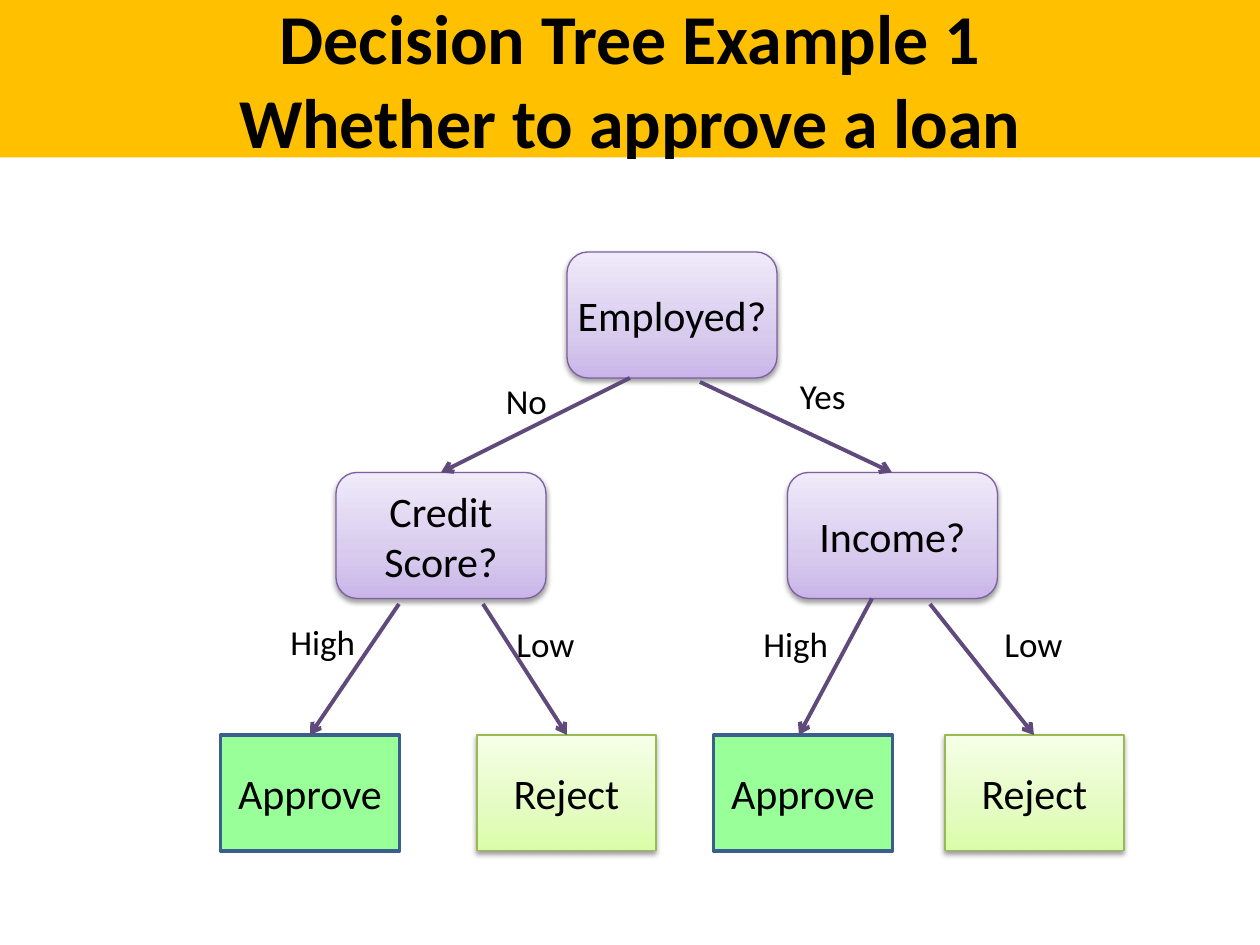
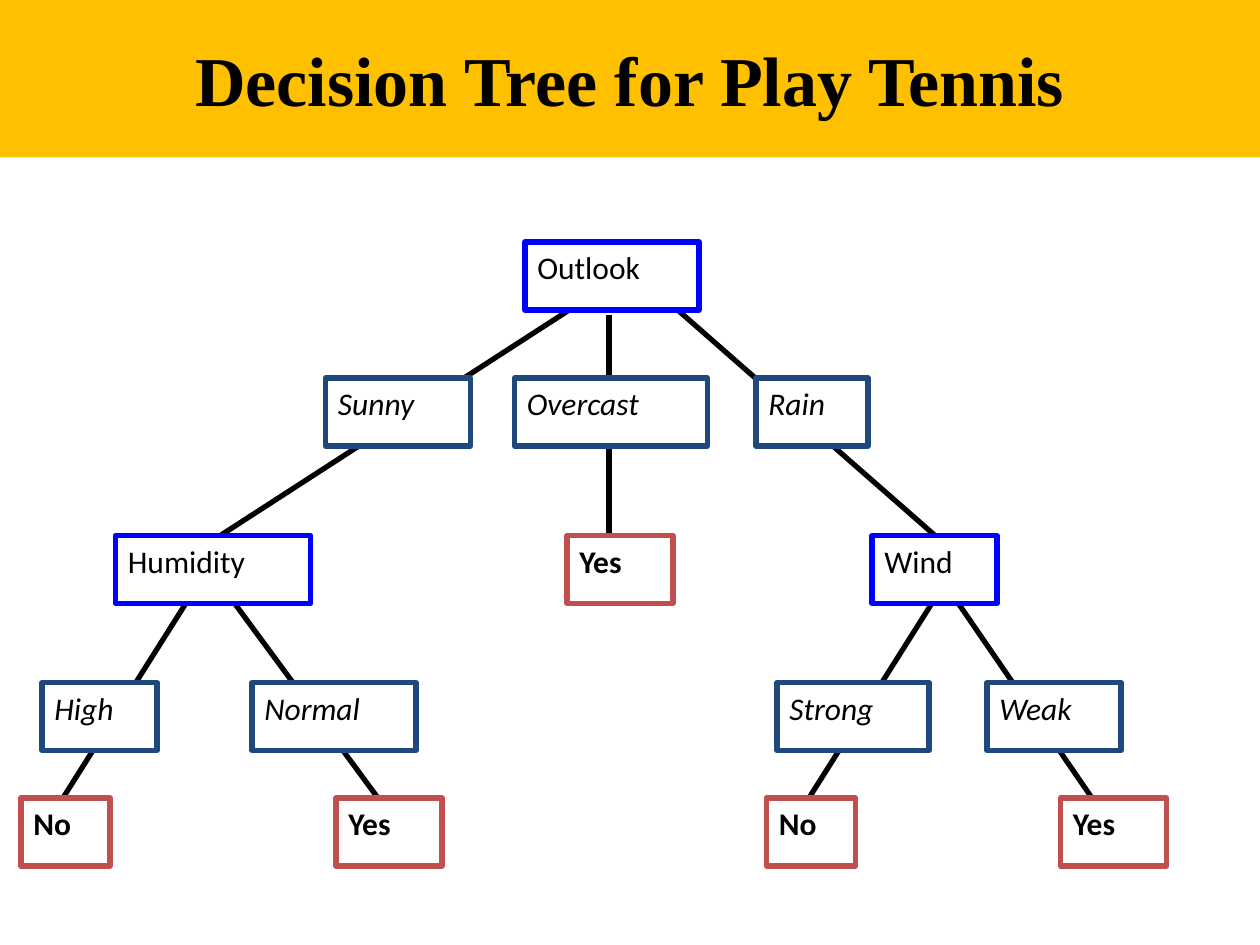
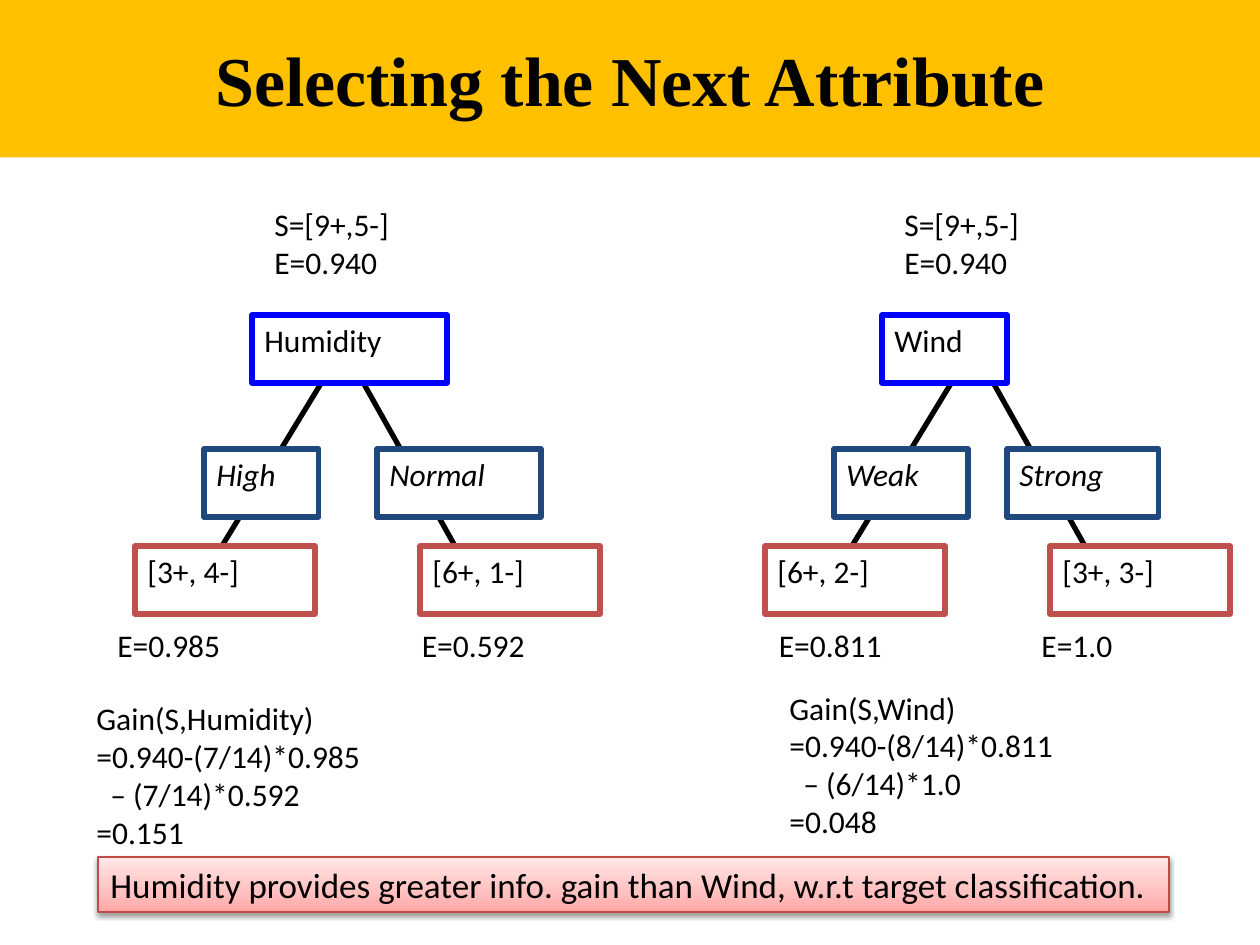
from copy import deepcopy
from lxml.etree import SubElement
from pptx import Presentation
from pptx.dml.color import RGBColor
from pptx.enum.shapes import MSO_CONNECTOR, MSO_SHAPE
from pptx.enum.text import MSO_ANCHOR, MSO_AUTO_SIZE, PP_ALIGN
from pptx.oxml.ns import qn
from pptx.util import Emu, Pt

# Shared look
PX = 914400 // 126
WIDE, HIGH, BAND = 1260, 945, 157.5
SANS, SERIF = "Calibri", "Times New Roman"
BLACK = RGBColor(0, 0, 0)
WHITE = RGBColor(255, 255, 255)
GOLD = RGBColor(0xFF, 0xC0, 0x00)
BLUE = RGBColor(0x00, 0x00, 0xFF)
NAVY = RGBColor(0x1F, 0x49, 0x7D)
RED = RGBColor(0xC0, 0x50, 0x4D)
PLUM = RGBColor(0x60, 0x4A, 0x7B)
MINT = RGBColor(0x99, 0xFF, 0x99)
STEEL = RGBColor(0x3A, 0x5F, 0x8C)
VIOLET = RGBColor(0x7D, 0x60, 0xA0)
OLIVE = RGBColor(0x98, 0xB9, 0x55)
ROSE = RGBColor(0xBF, 0x4C, 0x48)
# Gradient colours from bottom to top, at these stops
STOPS = (0, 0.35, 1)
LILAC = [RGBColor(0xC9, 0xB5, 0xE8), RGBColor(0xD8, 0xCB, 0xEE), RGBColor(0xF0, 0xEA, 0xF9)]
LIME = [RGBColor(0xDA, 0xFD, 0xA7), RGBColor(0xE4, 0xFC, 0xC2), RGBColor(0xF5, 0xFF, 0xE7)]
PINK = [RGBColor(0xFF, 0xA6, 0xA5), RGBColor(0xFF, 0xC0, 0xBF), RGBColor(0xFF, 0xE7, 0xE7)]

# Slide 1: loan tree
LOAN = "Decision Tree Example 1\vWhether to approve a loan"
TESTS = [("Employed?", 567, 252), ("Credit Score?", 336, 472.5), ("Income?", 787.5, 472.5)]
LEAVES = [("Approve", 220.5), ("Approve", 713.5), ("Reject", 477), ("Reject", 945)]
ARROWS = [
    (630, 378, 441, 472.5), (700, 382, 892, 472.5), (930, 604, 1034, 735),
    (872, 598.5, 799, 735), (483, 604, 567, 735), (399, 604, 310, 735),
]
LABELS = [
    ("No", 493.5, 373, 67), ("Yes", 787.5, 368, 72), ("High", 278, 614, 91),
    ("High", 751, 616, 91), ("Low", 504, 616, 84), ("Low", 992, 616, 84),
]

# Slides 2 and 3: node styles, and node widths by word
TALL = 68
ATTR = dict(edge=BLUE)
VALUE = dict(edge=NAVY, italic=True)
CLASS = dict(edge=RED, bold=True)
COUNT = dict(edge=RED)
WIDTHS = {
    "Outlook": 174, "Sunny": 145, "Overcast": 193, "Rain": 112, "Humidity": 195,
    "Wind": 125, "High": 115, "Normal": 164, "Strong": 152, "Weak": 134,
    "No": 89, "Yes": 106,
}

# Slide 2: rows of (top, [(word, left, style)])
TENNIS = "Decision Tree for Play Tennis"
ROWS = [
    (242, [("Outlook", 525, ATTR)]),
    (378, [("Sunny", 325.5, VALUE), ("Overcast", 514.5, VALUE), ("Rain", 756, VALUE)]),
    (535.5, [("Humidity", 115.5, ATTR), ("Yes", 567, CLASS), ("Wind", 872, ATTR)]),
    (682.5, [("High", 42, VALUE), ("Normal", 252, VALUE),
             ("Strong", 777, VALUE), ("Weak", 987, VALUE)]),
    (798, [("No", 21, CLASS), ("Yes", 336, CLASS), ("No", 766.5, CLASS), ("Yes", 1060.5, CLASS)]),
]
LINKS = [
    (577, 305, 220.5, 535.5), (672, 305, 935, 535.5), (189, 598.5, 63, 798),
    (231, 598.5, 378, 798), (955, 598.5, 1092, 798), (935, 598.5, 809, 798),
    (609, 315, 609, 535.5),
]

# Slide 3: two splits, side by side
NEXT = "Selecting the Next Attribute"
START = ["S=[9+,5-]", "E=0.940"]
FORKS = [(325, 377, 222, 546), (360, 377, 455, 546)]
SPLITS = [
    dict(attr="Humidity", sides=("High", "Normal"), counts=("[3+, 4-]", "[6+, 1-]"),
         ents=[("E=0.985", 105, 630, 48, 0.7), ("E=0.592", 409.5, 620, 63, None)],
         gain=["Gain(S,Humidity)", "=0.940-(7/14)*0.985", "– (7/14)*0.592", "=0.151"],
         spot=(84, 693)),
    dict(attr="Wind", sides=("Weak", "Strong"), counts=("[6+, 2-]", "[3+, 3-]"),
         ents=[("E=0.811", 766.5, 620, 63, None), ("E=1.0", 1029, 620, 63, None)],
         gain=["Gain(S,Wind)", "=0.940-(8/14)*0.811", "– (6/14)*1.0", "=0.048"],
         spot=(777, 682.5)),
]
MORAL = "Humidity provides greater info. gain than Wind, w.r.t target classification."


def emu(*nums):
    return [Emu(round(n * PX)) for n in nums]


def write(shape, text, size=18, font=SANS, bold=False, italic=False, mid=False,
          inset=None, wrap=True, space=None):
    """Fill a shape with one line or a list of lines."""
    frame = shape.text_frame
    frame.word_wrap = wrap
    frame.auto_size = MSO_AUTO_SIZE.NONE if wrap else MSO_AUTO_SIZE.SHAPE_TO_FIT_TEXT
    frame.vertical_anchor = MSO_ANCHOR.MIDDLE if mid else MSO_ANCHOR.TOP
    if inset is not None:
        frame.margin_left = frame.margin_right = inset
        frame.margin_top = frame.margin_bottom = inset
    lines = [text] if isinstance(text, str) else text
    for n, line in enumerate(lines):
        para = frame.add_paragraph() if n else frame.paragraphs[0]
        para.text = line
        para.alignment = PP_ALIGN.CENTER if mid else PP_ALIGN.LEFT
        if space:
            para.line_spacing = space
        if line.startswith("–"):  # a continued sum is indented
            para._p.get_or_add_pPr().set("marL", str(Pt(8)))
        for run in para.runs:
            face = run.font
            face.name, face.size, face.color.rgb = font, Pt(size), BLACK
            face.bold, face.italic = bold, italic


def note(slide, text, box, **form):
    write(slide.shapes.add_textbox(*emu(*box)), text, **form)


def block(slide, text, box, fill=WHITE, edge=None, thick=3, kind=MSO_SHAPE.RECTANGLE, **form):
    """A shape with text; a list of colours gives a gradient and a shadow."""
    shape = slide.shapes.add_shape(kind, *emu(*box))
    shape.shadow.inherit = False
    if isinstance(fill, list):
        shape.fill.gradient()
        shape.fill.gradient_angle = 90
        props = shape._element.spPr
        stops = props.find(".//" + qn("a:gsLst"))
        stops.append(deepcopy(stops[0]))
        for stop, place, tone in zip(shape.fill.gradient_stops, STOPS, fill):
            stop.position, stop.color.rgb = place, tone
        cast = SubElement(props.find(qn("a:effectLst")), qn("a:outerShdw"), blurRad=str(Pt(3.1)),
                          dist=str(Pt(1.6)), dir="5400000", rotWithShape="0")
        tone = SubElement(cast, qn("a:srgbClr"), val=str(BLACK))
        SubElement(tone, qn("a:alpha"), val="38000")
    else:
        shape.fill.solid()
        shape.fill.fore_color.rgb = fill
    if edge is None:
        shape.line.fill.background()
    else:
        shape.line.color.rgb, shape.line.width = edge, Pt(thick)
    write(shape, text, **form)


def link(slide, ends, tone=BLACK, thick=3, arrow=False):
    line = slide.shapes.add_connector(MSO_CONNECTOR.STRAIGHT, *emu(*ends))
    line.line.color.rgb, line.line.width = tone, Pt(thick)
    if arrow:
        SubElement(line.line._get_or_add_ln(), qn("a:tailEnd"), type="arrow")
    SubElement(line._element.spPr, qn("a:effectLst"))


def node(slide, word, left, top, style):
    block(slide, word, (left, top, WIDTHS.get(word, 180), TALL), **style)


def page(title, font=SERIF):
    slide = deck.slides.add_slide(deck.slide_layouts[6])
    block(slide, title, (0, 0, WIDE, BAND), fill=GOLD, size=40, font=font, bold=True, mid=True)
    return slide


deck = Presentation()
deck.slide_width, deck.slide_height = emu(WIDE, HIGH)

# Slide 1
slide = page(LOAN, font=SANS)
big = dict(size=24, mid=True, inset=0)
for word, left, top in TESTS:
    block(slide, word, (left, top, 210, 126), fill=LILAC, edge=VIOLET, thick=0.75,
          kind=MSO_SHAPE.ROUNDED_RECTANGLE, **big)
looks = {"Approve": dict(fill=MINT, edge=STEEL, thick=2),
         "Reject": dict(fill=LIME, edge=OLIVE, thick=0.75)}
for word, left in LEAVES:
    block(slide, word, (left, 735, 179, 116), **looks[word], **big)
for ends in ARROWS:
    link(slide, ends, tone=PLUM, thick=2.25, arrow=True)
for word, left, top, wide in LABELS:
    note(slide, word, (left, top, wide, 55), size=20, wrap=False)

# Slide 2
slide = page(TENNIS)
for ends in LINKS:
    link(slide, ends)
for top, row in ROWS:
    for word, left, style in row:
        node(slide, word, left, top, style)

# Slide 3
slide = page(NEXT)
for n, split in enumerate(SPLITS):
    off = n * WIDE / 2
    for x1, y1, x2, y2 in FORKS:
        link(slide, (x1 + off, y1, x2 + off, y2))
    node(slide, split["attr"], 252 + off, 315, ATTR)
    for word, left in zip(split["sides"], (204, 377)):
        node(slide, word, left + off, 449, VALUE)
    for word, left in zip(split["counts"], (135, 420)):
        node(slide, word, left + off, 546, COUNT)
    note(slide, START, (262 + off, 199, 217, 113))
    for word, left, top, tall, space in split["ents"]:
        note(slide, word, (left, top, min(630, WIDE - left), tall), space=space)
    note(slide, split["gain"], (*split["spot"], 433, 214))
block(slide, MORAL, (98, 857, 1071, 55), fill=PINK, edge=ROSE, thick=0.75, size=20)

deck.save("out.pptx")
